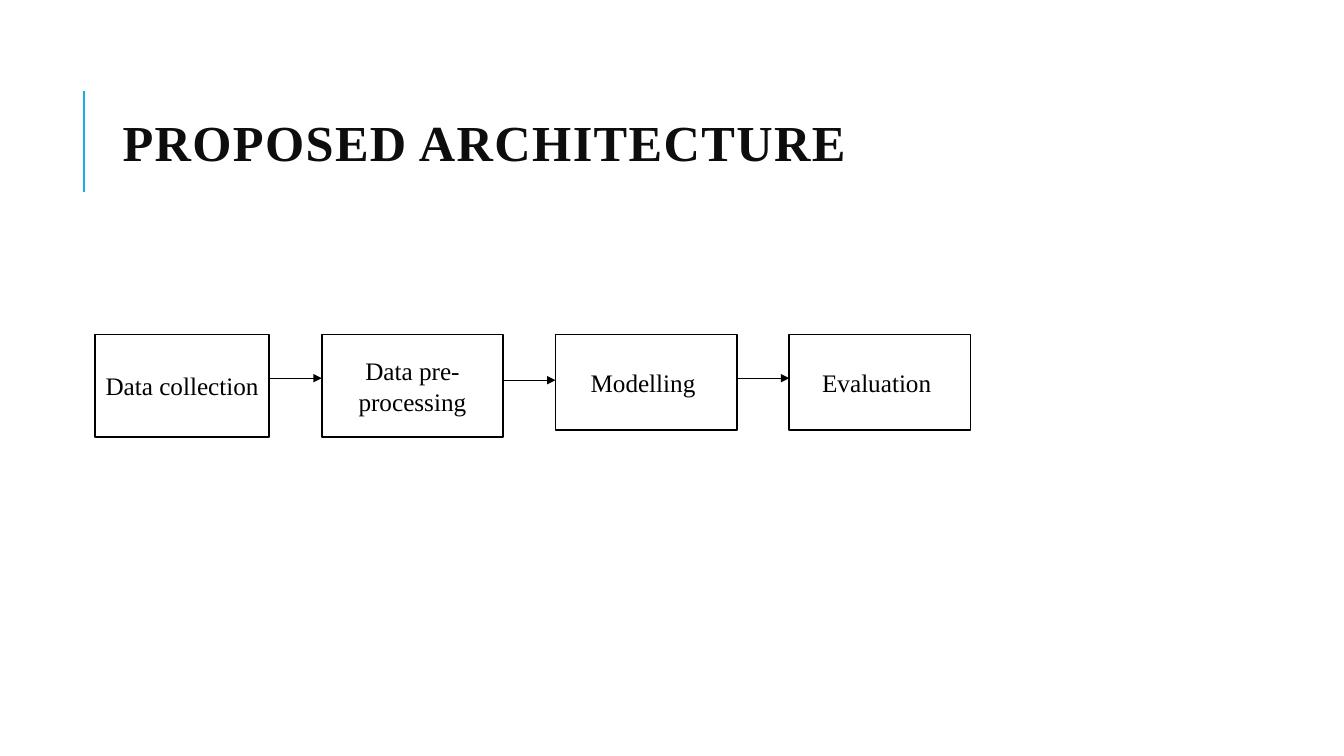
from dataclasses import dataclass

from pptx import Presentation
from pptx.dml.color import RGBColor
from pptx.enum.shapes import MSO_CONNECTOR, MSO_SHAPE
from pptx.enum.text import MSO_ANCHOR, PP_ALIGN
from pptx.oxml.ns import qn
from pptx.shapes.connector import Connector
from pptx.slide import Slide
from pptx.text.text import TextFrame
from pptx.util import Cm, Pt
from lxml.etree import SubElement

COLOURS = {"ink": "000000", "title": "0D0D0D", "accent": "1CADE4", "paper": "FFFFFF"}
TITLE_FORMAT = {"name": "Times New Roman", "size": Pt(36), "bold": True}
LABEL_FORMAT = {"name": "Times New Roman", "size": Pt(18), "bold": False}
STAGE_LEFT = 2.39
STAGE_TOP = 8.43
STAGE_GAP = 1.32


@dataclass
class Stage:
    label: str
    width: float
    height: float


@dataclass
class Segment:
    start_x: float
    start_y: float
    end_x: float
    end_y: float


STAGES = [
    Stage("Data collection", 4.4, 2.59),
    Stage("Data pre-processing", 4.57, 2.59),
    Stage("Modelling ", 4.57, 2.41),
    Stage("Evaluation ", 4.57, 2.41),
]
ARROW_HEIGHTS = [9.53, 9.58, 9.53]


def colour(name: str) -> RGBColor:
    return RGBColor.from_string(COLOURS[name])


def write_text(frame: TextFrame, text: str, formats: dict, ink: str, alignment: PP_ALIGN) -> None:
    frame.word_wrap = True
    frame.vertical_anchor = MSO_ANCHOR.MIDDLE
    para = frame.paragraphs[0]
    para.alignment = alignment
    span = para.add_run()
    span.text = text
    for attribute, value in formats.items():
        setattr(span.font, attribute, value)
    span.font.color.rgb = colour(ink)


def draw_title(page: Slide, text: str) -> None:
    box = page.shapes.add_textbox(Cm(2.84), Cm(1.63), Cm(27), Cm(4.17))
    write_text(box.text_frame, text, TITLE_FORMAT, "title", PP_ALIGN.LEFT)
    para = box.text_frame.paragraphs[0]
    para.line_spacing = 0.8
    para.runs[0].font._element.set("spc", "100")


def draw_stage(page: Slide, stage: Stage, left: float) -> None:
    box = page.shapes.add_shape(
        MSO_SHAPE.RECTANGLE, Cm(left), Cm(STAGE_TOP), Cm(stage.width), Cm(stage.height)
    )
    box.shadow.inherit = False
    box.fill.solid()
    box.fill.fore_color.rgb = colour("paper")
    box.line.color.rgb = colour("ink")
    box.line.width = Pt(1.25)
    write_text(box.text_frame, stage.label, LABEL_FORMAT, "ink", PP_ALIGN.CENTER)


def draw_line(page: Slide, segment: Segment, ink: str, width: float) -> Connector:
    line = page.shapes.add_connector(
        MSO_CONNECTOR.STRAIGHT,
        Cm(segment.start_x),
        Cm(segment.start_y),
        Cm(segment.end_x),
        Cm(segment.end_y),
    )
    line.line.color.rgb = colour(ink)
    line.line.width = Pt(width)
    SubElement(line._element.spPr, qn("a:effectLst"))
    return line


def draw_arrow(page: Slide, segment: Segment) -> None:
    arrow = draw_line(page, segment, "ink", 0.75)
    SubElement(arrow.line._get_or_add_ln(), qn("a:tailEnd"), type="triangle")


def main() -> None:
    deck = Presentation()
    deck.slide_width = Cm(33.87)
    deck.slide_height = Cm(19.05)
    page = deck.slides.add_slide(deck.slide_layouts[6])

    draw_line(page, Segment(2.11, 4.83, 2.11, 2.29), "accent", 1.5)
    draw_title(page, "PROPOSED ARCHITECTURE")

    left = STAGE_LEFT
    arrows = []
    for stage, height in zip(STAGES, ARROW_HEIGHTS + [None]):
        draw_stage(page, stage, left)
        right = left + stage.width
        left = right + STAGE_GAP
        if height is not None:
            arrows.append(Segment(right, height, left, height))
    for segment in arrows:
        draw_arrow(page, segment)

    deck.save("out.pptx")


if __name__ == "__main__":
    main()
